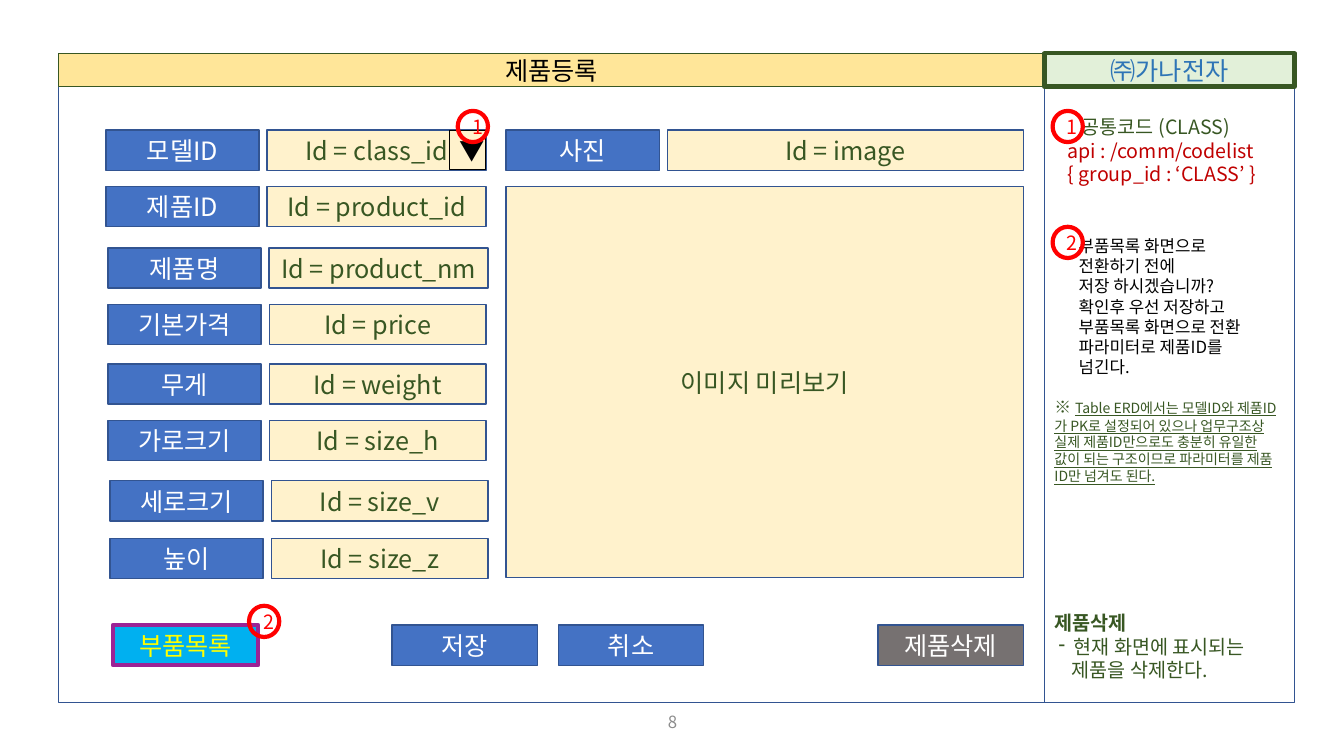
from lxml import etree
from pptx import Presentation
from pptx.dml.color import RGBColor
from pptx.enum.shapes import MSO_SHAPE
from pptx.enum.text import MSO_ANCHOR, PP_ALIGN
from pptx.oxml.ns import qn
from pptx.util import Inches, Pt

RECT, OVAL = MSO_SHAPE.RECTANGLE, MSO_SHAPE.OVAL
TOP, MIDDLE = MSO_ANCHOR.TOP, MSO_ANCHOR.MIDDLE
LEFT, CENTER = PP_ALIGN.LEFT, PP_ALIGN.CENTER
FONT = "Noto Sans CJK KR"

BLACK = RGBColor(0x00, 0x00, 0x00)
WHITE = RGBColor(0xFF, 0xFF, 0xFF)
NAVY = RGBColor(0x32, 0x54, 0x91)
BLUE = RGBColor(0x44, 0x72, 0xC4)
CREAM = RGBColor(0xFF, 0xF2, 0xCC)
GREEN = RGBColor(0x38, 0x57, 0x23)
GOLD = RGBColor(0xFF, 0xE6, 0x99)
MINT = RGBColor(0xE2, 0xF0, 0xD9)
COMPANY_BLUE = RGBColor(0x2E, 0x75, 0xB6)
RED = RGBColor(0xFF, 0x00, 0x00)
DARK_RED = RGBColor(0xC0, 0x00, 0x00)
GRAY = RGBColor(0x76, 0x71, 0x71)
PAGE_GRAY = RGBColor(0x8C, 0x8C, 0x8C)
CYAN = RGBColor(0x00, 0xB0, 0xF0)
PURPLE = RGBColor(0x9B, 0x23, 0x95)
YELLOW = RGBColor(0xFF, 0xFF, 0x00)

prs = Presentation()
prs.slide_width, prs.slide_height = Inches(13.33), Inches(7.5)
s = prs.slides.add_slide(prs.slide_layouts[6])


def style(r, size, color):
    """Set size, colour and the Latin and East Asian fonts of a run."""
    r.font.size = Pt(size)
    r.font.color.rgb = color
    r.font.name = FONT
    etree.SubElement(r.font._element, qn("a:ea")).set("typeface", FONT)


def box(at, text="", fill=None, color=GREEN, line=NAVY, width=1, size=18, kind=RECT):
    """Add an outlined shape with centred text; no fill means transparent."""
    sp = s.shapes.add_shape(kind, *[Inches(v) for v in at])
    sp.shadow.inherit = False
    if fill is None:
        sp.fill.background()
    else:
        sp.fill.solid()
        sp.fill.fore_color.rgb = fill
    sp.line.color.rgb = line
    sp.line.width = Pt(width)
    if text:
        p = sp.text_frame.paragraphs[0]
        p.text = text
        p.alignment = CENTER
        style(p.runs[0], size, color)
    return sp


# Frame and header
box((0.58, 0.86, 9.78, 6.11))
notes = box((10.36, 0.86, 2.48, 6.11))
box((0.58, 0.53, 9.78, 0.33), "제품등록", GOLD, BLACK, GREEN)
box((10.36, 0.53, 2.48, 0.33), "㈜가나전자", MINT, COMPANY_BLUE, GREEN, 3)

# Notes: text, size, colour, indent, space before in points
NOTES = [
    ("공통코드 (CLASS)", 14, GREEN, 0.27, 0),
    ("api : /comm/codelist", 14, DARK_RED, 0.13, 0),
    ("{ group_id : ‘CLASS’ }", 14, DARK_RED, 0.13, 0),
    ("부품목록 화면으로", 12, BLACK, 0.24, 36),
    ("전환하기 전에", 12, BLACK, 0.24, 0),
    ("저장 하시겠습니까?", 12, BLACK, 0.24, 0),
    ("확인후 우선 저장하고", 12, BLACK, 0.24, 0),
    ("부품목록 화면으로 전환", 12, BLACK, 0.24, 0),
    ("파라미터로 제품ID를", 12, BLACK, 0.24, 0),
    ("넘긴다.", 12, BLACK, 0.24, 0),
    ("※ ", 12, GREEN, 0, 16.4),
    ("제품삭제", 14, GREEN, 0, 90.4),
    ("현재 화면에 표시되는", 14, GREEN, 0.19, 0),
    ("제품을 삭제한다.", 14, GREEN, 0.17, 0),
]
PK_REMARK = ("Table ERD에서는 모델ID와 제품ID가 PK로 설정되어 있으나 "
             "업무구조상 실제 제품ID만으로도 충분히 유일한 값이 되는 "
             "구조이므로 파라미터를 제품ID만 넘겨도 된다.")
tf = notes.text_frame
tf.vertical_anchor = TOP
tf.margin_top = Inches(0.28)
for i, (text, size, color, indent, before) in enumerate(NOTES):
    p = tf.add_paragraph() if i else tf.paragraphs[0]
    p.text = text
    p.alignment = LEFT
    p.space_before = Pt(before)
    p.line_spacing = Pt(size * 1.2)
    pPr = p._p.get_or_add_pPr()
    pPr.set("marL", str(Inches(indent)))
    style(p.runs[0], size, color)
    if text == "※ ":
        p.line_spacing = Pt(12.1)
        r = p.add_run()
        r.text = PK_REMARK
        style(r, 10, GREEN)
        r.font.underline = True
    elif text == "제품삭제":
        p.runs[0].font.bold = True
    elif text.startswith("현재"):
        pPr.set("indent", str(Inches(-0.15)))
        etree.SubElement(pPr, qn("a:buChar")).set("char", "-")

# Form rows: label, field id, left, top, field width
ROWS = [
    ("모델ID", "class_id", 1.05, 1.29, 2.17),
    ("제품ID", "product_id", 1.05, 1.85, 2.17),
    ("제품명", "product_nm", 1.07, 2.46, 2.17),
    ("기본가격", "price", 1.07, 3.02, 2.15),
    ("무게", "weight", 1.07, 3.61, 2.15),
    ("가로크기", "size_h", 1.07, 4.17, 2.15),
    ("세로크기", "size_v", 1.09, 4.77, 2.15),
    ("높이", "size_z", 1.09, 5.34, 2.15),
    ("사진", "image", 5.02, 1.29, 3.53),
]
for label, field, left, top, width in ROWS:
    box((left, top, 1.52, 0.4), label, BLUE, WHITE)
    box((left + 1.6, top, width, 0.4), f"Id = {field}", CREAM)
box((5.02, 1.85, 5.13, 3.88), "이미지 미리보기", CREAM)

dropdown = box((4.46, 1.29, 0.36, 0.39), "▼", color=BLACK, line=BLACK, width=0.75)
dropdown.text_frame.vertical_anchor = TOP

# Buttons
BUTTONS = [
    ("부품목록", 1.12, CYAN, YELLOW, PURPLE, 3),
    ("저장", 3.89, BLUE, WHITE, NAVY, 1),
    ("취소", 5.54, BLUE, WHITE, NAVY, 1),
    ("제품삭제", 8.71, GRAY, WHITE, NAVY, 1),
]
for text, left, fill, color, line, width in BUTTONS:
    box((left, 6.2, 1.44, 0.4), text, fill, color, line, width)

# Numbered markers
for number, left, top in [("1", 4.54, 1.1), ("1", 10.44, 1.1),
                          ("2", 2.47, 6.01), ("2", 10.44, 2.25)]:
    box((left, top, 0.3, 0.31), number, None, RED, RED, 3, 14, OVAL)

# Page number
page = s.shapes.add_textbox(Inches(5.17), Inches(6.96), Inches(3), Inches(0.4))
tf = page.text_frame
tf.word_wrap = True
tf.vertical_anchor = MIDDLE
p = tf.paragraphs[0]
p.text = "8"
p.alignment = CENTER
style(p.runs[0], 12, PAGE_GRAY)

prs.save("out.pptx")
